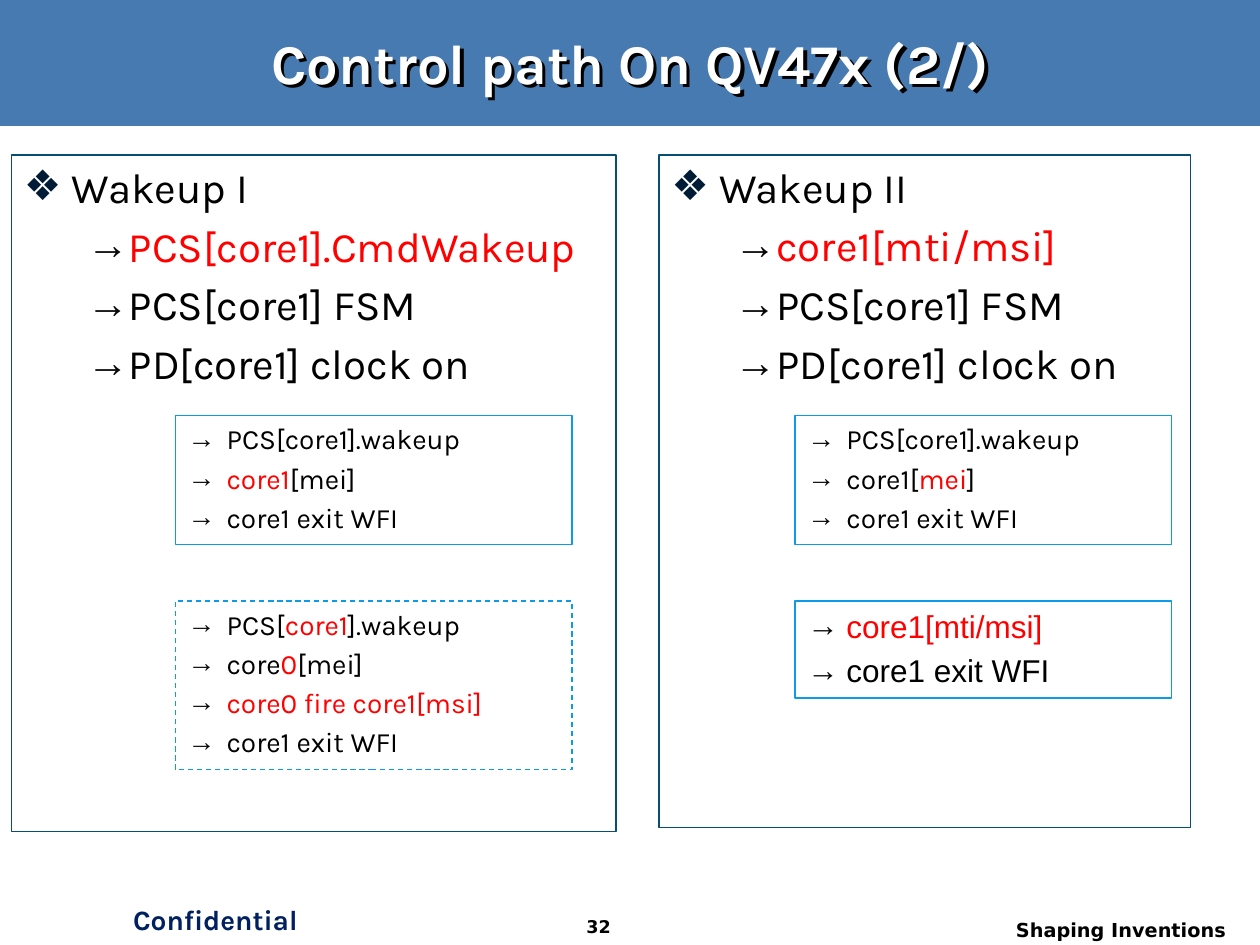
from dataclasses import dataclass
from typing import Optional

import pptx
import pptx.dml.color
import pptx.enum.dml
import pptx.enum.shapes
import pptx.enum.text
import pptx.oxml
import pptx.oxml.ns
import pptx.util
from lxml import etree

Inches = pptx.util.Inches
Pt = pptx.util.Pt
RGBColor = pptx.dml.color.RGBColor
Align = pptx.enum.text.PP_ALIGN
AutoSize = pptx.enum.text.MSO_AUTO_SIZE
Anchor = pptx.enum.text.MSO_ANCHOR
qn = pptx.oxml.ns.qn

BLACK = RGBColor(0x00, 0x00, 0x00)
WHITE = RGBColor(0xFF, 0xFF, 0xFF)
RED = RGBColor(0xFF, 0x00, 0x00)
HEADER_BLUE = RGBColor(0x47, 0x7A, 0xB1)
NAVY = RGBColor(0x00, 0x20, 0x60)
PANEL_LINE = RGBColor(0x06, 0x4E, 0x74)
STEP_LINE = RGBColor(0x0D, 0x9B, 0xE9)
DIAMOND_COLOR = RGBColor(0x00, 0x1B, 0x36)
ARROW_COLOR = RGBColor(0x08, 0x08, 0x08)


@dataclass(frozen=True)
class Bullet:
    char: str
    color: RGBColor
    margin: float
    hanging: float
    level: int = 0


@dataclass(frozen=True)
class Span:
    text: str
    color: RGBColor = BLACK


@dataclass(frozen=True)
class Item:
    spans: tuple[Span, ...]
    bullet: Bullet


@dataclass(frozen=True)
class Box:
    left: float
    top: float
    width: float
    height: float
    items: tuple[Item, ...]
    size: int
    font: str = "Karla"
    line: RGBColor = STEP_LINE
    dashed: bool = False
    grows: bool = True


@dataclass(frozen=True)
class Label:
    left: float
    top: float
    width: float
    height: float
    text: str
    size: int
    font: str = "DejaVu Sans"
    color: RGBColor = BLACK
    align: Align = Align.CENTER


HEADING = Bullet("❖", DIAMOND_COLOR, 0.38, 0.38)
PANEL_STEP = Bullet("→", ARROW_COLOR, 0.81, 0.31, 1)
BOX_STEP = Bullet("→", ARROW_COLOR, 0.31, 0.31)


def step(*parts: str | Span, bullet: Bullet = BOX_STEP) -> Item:
    return Item(tuple(Span(part) if isinstance(part, str) else part for part in parts), bullet)


def panel_items(heading: str, trigger: str) -> tuple[Item, ...]:
    return (
        step(heading, bullet=HEADING),
        step(Span(trigger, RED), bullet=PANEL_STEP),
        step("PCS[core1] FSM", bullet=PANEL_STEP),
        step("PD[core1] clock on", bullet=PANEL_STEP),
    )


WAKEUP_I = Box(0.09, 1.23, 4.8, 5.37, panel_items("Wakeup I", "PCS[core1].CmdWakeup"),
               24, line=PANEL_LINE, grows=False)
WAKEUP_II = Box(5.23, 1.23, 4.22, 5.34, panel_items("Wakeup II", "core1[mti/msi]"),
                24, line=PANEL_LINE, grows=False)
EXIT_WFI = step("core1 exit WFI")
STEP_BOXES = (
    Box(1.39, 3.3, 3.15, 1.02,
        (step("PCS[core1].wakeup"), step(Span("core1", RED), "[mei]"), EXIT_WFI), 16),
    Box(1.39, 4.77, 3.15, 1.34,
        (step("PCS[", Span("core1", RED), "].wakeup"), step("core", Span("0", RED), "[mei]"),
         step(Span("core0 fire core1[msi]", RED)), EXIT_WFI), 16, dashed=True),
    Box(6.31, 3.3, 2.99, 1.02,
        (step("PCS[core1].wakeup"), step("core1[", Span("mei", RED), "]"), EXIT_WFI), 16),
    Box(6.31, 4.77, 2.99, 0.77,
        (step(Span("core1[mti/msi]", RED)), EXIT_WFI), 18, font="Arial"),
)
FOOTERS = (
    Label(0.89, 7.11, 1.64, 0.42, "Confidential", 16, "Karla", NAVY),
    Label(7.46, 7.24, 2.37, 0.26, "Shaping Inventions", 11, align=Align.RIGHT),
    Label(4.29, 7.22, 0.92, 0.28, "32", 10),
)


def add_text(paragraph, text: str, *, size: float, font: str = "Karla",
             color: RGBColor = BLACK, bold: bool = False,
             align: Optional[Align] = None) -> None:
    if align is not None:
        paragraph.alignment = align
    run = paragraph.add_run()
    run.text = text
    run.font.size = Pt(size)
    run.font.bold = bold
    run.font.color.rgb = color
    run.font.name = font


def add_drop_shadow(shape) -> None:
    shape.fill.background()
    effects = etree.SubElement(shape.element.spPr, qn("a:effectLst"))
    shadow = etree.SubElement(effects, qn("a:outerShdw"), dist=str(Inches(0.04)), dir="2700000")
    etree.SubElement(shadow, qn("a:srgbClr"), val=str(BLACK))


def set_bullet(paragraph, bullet: Bullet) -> None:
    paragraph.level = bullet.level
    properties = paragraph._p.get_or_add_pPr()
    properties.set("marL", str(Inches(bullet.margin)))
    properties.set("indent", str(-Inches(bullet.hanging)))
    bullet_color = etree.SubElement(properties, qn("a:buClr"))
    etree.SubElement(bullet_color, qn("a:srgbClr"), val=str(bullet.color))
    etree.SubElement(properties, qn("a:buFont"), typeface="Arial")
    etree.SubElement(properties, qn("a:buChar"), char=bullet.char)


def place(shape, left: float, top: float, width: float, height: float) -> None:
    shape.left, shape.top = Inches(left), Inches(top)
    shape.width, shape.height = Inches(width), Inches(height)


def fill_box(shape, box: Box) -> None:
    place(shape, box.left, box.top, box.width, box.height)
    shape.fill.background()
    shape.line.color.rgb = box.line
    shape.line.width = Pt(0.75)
    if box.dashed:
        shape.line.dash_style = pptx.enum.dml.MSO_LINE.DASH
    frame = shape.text_frame
    frame.word_wrap = True
    frame.vertical_anchor = Anchor.TOP
    frame.auto_size = AutoSize.SHAPE_TO_FIT_TEXT if box.grows else AutoSize.NONE
    for index, item in enumerate(box.items):
        paragraph = frame.add_paragraph() if index else frame.paragraphs[0]
        set_bullet(paragraph, item.bullet)
        paragraph.space_before = Pt(round(0.2 * box.size, 1) if index else 0)
        for span in item.spans:
            add_text(paragraph, span.text, size=box.size, font=box.font,
                     color=span.color, align=Align.LEFT)


def add_rectangle(slide):
    shape = slide.shapes.add_shape(pptx.enum.shapes.MSO_SHAPE.RECTANGLE, 0, 0, 0, 0)
    shape.shadow.inherit = False
    return shape


def add_label(slide, label: Label) -> None:
    footer = slide.shapes.add_textbox(0, 0, 0, 0)
    place(footer, label.left, label.top, label.width, label.height)
    footer.text_frame.word_wrap = True
    add_text(footer.text_frame.paragraphs[0], label.text, size=label.size, font=label.font,
             color=label.color, bold=True, align=label.align)


def main() -> None:
    deck = pptx.Presentation()
    deck.slide_width, deck.slide_height = Inches(10), Inches(7.5)
    slide = deck.slides.add_slide(deck.slide_layouts[1])

    header = add_rectangle(slide)
    place(header, 0, 0, 10, 1)
    header.fill.solid()
    header.fill.fore_color.rgb = HEADER_BLUE
    header.line.fill.background()
    title = slide.shapes.title
    title.element.addprevious(header.element)

    place(title, 0.35, 0.16, 9.31, 0.66)
    add_drop_shadow(title)
    title.text_frame.vertical_anchor = Anchor.MIDDLE
    title.text_frame.auto_size = AutoSize.NONE
    add_text(title.text_frame.paragraphs[0], "Control path On QV47x (2/)", size=32,
             color=WHITE, bold=True, align=Align.CENTER)

    fill_box(slide.placeholders[1], WAKEUP_I)
    for box in (WAKEUP_II, *STEP_BOXES):
        fill_box(add_rectangle(slide), box)
    for label in FOOTERS:
        add_label(slide, label)
    deck.save("out.pptx")


if __name__ == "__main__":
    main()
